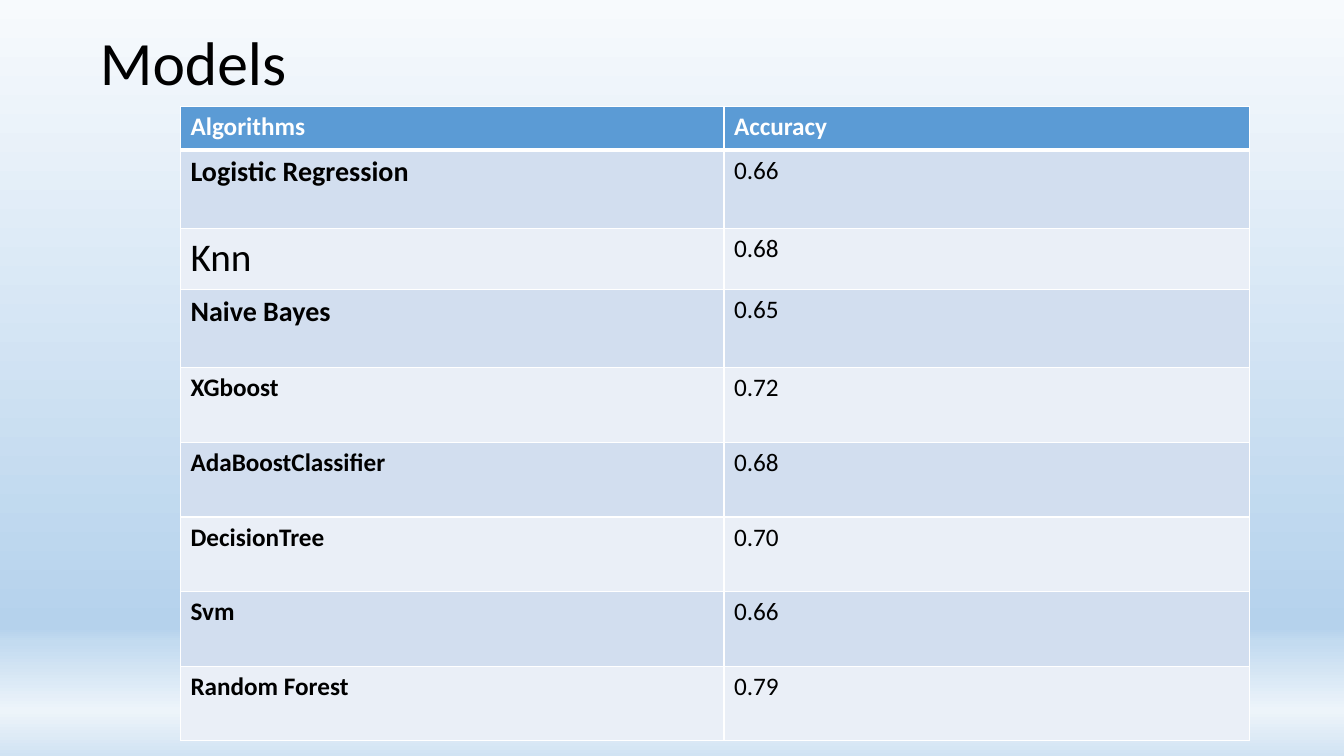
from dataclasses import dataclass

from lxml.etree import SubElement
from pptx import Presentation
from pptx.dml.color import RGBColor
from pptx.enum.text import MSO_ANCHOR, PP_ALIGN
from pptx.oxml.ns import qn
from pptx.slide import Slide
from pptx.table import _Cell
from pptx.util import Inches, Pt

FONT = "Calibri"
BLACK = RGBColor(0x00, 0x00, 0x00)
WHITE = RGBColor(0xFF, 0xFF, 0xFF)
HEADER_BLUE = RGBColor(0x5B, 0x9B, 0xD5)
BANDS = (RGBColor(0xD2, 0xDE, 0xEF), RGBColor(0xEA, 0xEF, 0xF7))
SKY = (
    (0, RGBColor(0xF7, 0xFA, 0xFD)),
    (83, RGBColor(0xB5, 0xD2, 0xEC)),
    (85, RGBColor(0xC3, 0xDB, 0xF0)),
    (94, RGBColor(0xED, 0xF4, 0xFA)),
    (100, RGBColor(0xD1, 0xE3, 0xF3)),
)
COLUMN_WIDTHS = (5.39, 5.21)
HEADER_HEIGHT = 0.43


@dataclass
class Model:
    name: str
    accuracy: str
    size: int = 18
    bold: bool = True
    height: float = 0.74


MODELS = (
    Model("Logistic Regression", "0.66", size=20, height=0.78),
    Model("Knn", "0.68", size=28, bold=False, height=0.6),
    Model("Naive Bayes", "0.65", size=20, height=0.78),
    Model("XGboost", "0.72"),
    Model("AdaBoostClassifier", "0.68"),
    Model("DecisionTree", "0.70"),
    Model("Svm", "0.66"),
    Model("Random Forest", "0.79"),
)


def paint_background(slide: Slide) -> None:
    fill = slide.background.fill
    fill.gradient()
    fill.gradient_angle = 270  # counter-clockwise, so top to bottom
    stops = slide.background._cSld.find(".//" + qn("a:gsLst"))
    stops.clear()
    for percent, color in SKY:
        stop = SubElement(stops, qn("a:gs"), pos=str(percent * 1000))
        SubElement(stop, qn("a:srgbClr"), val=str(color))


def add_title(slide: Slide, text: str) -> None:
    title = slide.shapes.title
    title.left, title.top = Inches(0.89), Inches(0)
    title.width, title.height = Inches(11.5), Inches(1.31)
    tf = title.text_frame
    tf.text = text
    tf.vertical_anchor = MSO_ANCHOR.MIDDLE
    p = tf.paragraphs[0]
    p.alignment = PP_ALIGN.LEFT
    p.line_spacing = 0.9
    font = p.runs[0].font
    font.name, font.size = FONT, Pt(44)
    font.color.rgb = BLACK


def set_borders(cell: _Cell, top: int = 1, bottom: int = 1) -> None:
    """Draw white borders, with widths in points; sides are 1 point."""
    tc_pr = cell._tc.get_or_add_tcPr()
    widths = {"a:lnL": 1, "a:lnR": 1, "a:lnT": top, "a:lnB": bottom}
    for position, (side, width) in enumerate(widths.items()):
        line = SubElement(tc_pr, qn(side), w=str(Pt(width)))
        solid = SubElement(line, qn("a:solidFill"))
        SubElement(solid, qn("a:srgbClr"), val=str(WHITE))
        tc_pr.insert(position, line)


def fill_cell(cell: _Cell, text: str, fill: RGBColor, color: RGBColor = BLACK,
              size: int = 18, bold: bool = False) -> None:
    cell.text = text
    cell.fill.solid()
    cell.fill.fore_color.rgb = fill
    font = cell.text_frame.paragraphs[0].runs[0].font
    font.name, font.size, font.bold = FONT, Pt(size), bold
    font.color.rgb = color


def add_model_table(slide: Slide) -> None:
    heights = [HEADER_HEIGHT, *(model.height for model in MODELS)]
    table = slide.shapes.add_table(
        len(heights), len(COLUMN_WIDTHS), Inches(1.79), Inches(1.06),
        Inches(sum(COLUMN_WIDTHS)), Inches(sum(heights))).table
    for column, width in zip(table.columns, COLUMN_WIDTHS):
        column.width = Inches(width)
    for row, height in zip(table.rows, heights):
        row.height = Inches(height)

    for cell, heading in zip(table.rows[0].cells, ("Algorithms", "Accuracy")):
        fill_cell(cell, heading, HEADER_BLUE, WHITE, bold=True)
        set_borders(cell, bottom=3)
    for i, model in enumerate(MODELS):
        band = BANDS[i % 2]
        name, accuracy = table.rows[i + 1].cells
        fill_cell(name, model.name, band, size=model.size, bold=model.bold)
        fill_cell(accuracy, model.accuracy, band)
        for cell in (name, accuracy):
            set_borders(cell, top=3 if i == 0 else 1)


def main() -> None:
    prs = Presentation()
    prs.slide_width, prs.slide_height = Inches(13.33), Inches(7.5)
    slide = prs.slides.add_slide(prs.slide_layouts[5])
    paint_background(slide)
    add_title(slide, "Models")
    add_model_table(slide)
    prs.save("out.pptx")


if __name__ == "__main__":
    main()
